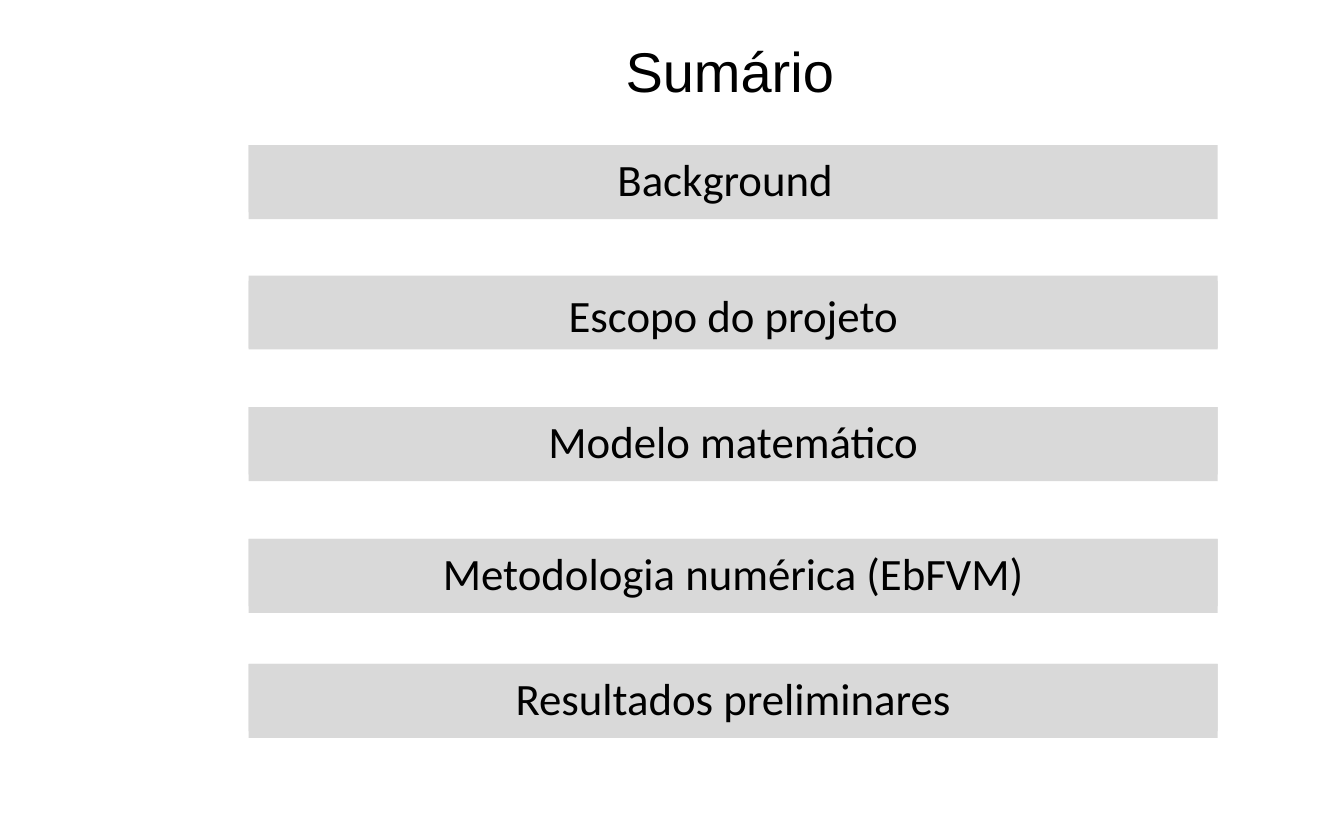
from dataclasses import dataclass

from pptx import Presentation
from pptx.dml.color import RGBColor
from pptx.enum.shapes import MSO_SHAPE as Shape
from pptx.enum.text import MSO_ANCHOR as Anchor, PP_ALIGN as Align
from pptx.util import Inches, Pt

COLORS = {"text": "000000", "bar": "D9D9D9"}
BAR_LEFT, BAR_WIDTH, BAR_HEIGHT = 1.85, 7.21, 0.55
LABEL_HEIGHT = 0.5


@dataclass
class Topic:
    text: str
    top: float
    label_offset: float = 0
    label_width: float = BAR_WIDTH


TOPICS = [
    Topic("Background", 1.08, label_width=7.09),
    Topic("Escopo do projeto", 2.05, label_offset=0.04),
    Topic("Modelo matemático", 3.03),
    Topic("Metodologia numérica (EbFVM)", 4.01),
    Topic("Resultados preliminares", 4.94),
]


def fill_bar(shape) -> None:
    shape.fill.solid()
    shape.fill.fore_color.rgb = RGBColor.from_string(COLORS["bar"])


def write_text(shape, text: str, font_name: str, size: float, anchor: Anchor) -> None:
    text_frame = shape.text_frame
    text_frame.text = text
    text_frame.word_wrap = True
    text_frame.vertical_anchor = anchor
    paragraph = text_frame.paragraphs[0]
    paragraph.alignment = Align.CENTER
    font = paragraph.runs[0].font
    font.name = font_name
    font.size = Pt(size)
    font.color.rgb = RGBColor.from_string(COLORS["text"])


def add_topic(slide, topic: Topic) -> None:
    group = slide.shapes.add_group_shape()
    # Grey bar
    bar = group.shapes.add_shape(Shape.RECTANGLE, Inches(BAR_LEFT), Inches(topic.top),
                                 Inches(BAR_WIDTH), Inches(BAR_HEIGHT))
    bar.shadow.inherit = False
    bar.line.fill.background()
    fill_bar(bar)
    # Topic label
    label = group.shapes.add_textbox(Inches(BAR_LEFT), Inches(topic.top + topic.label_offset),
                                     Inches(topic.label_width), Inches(LABEL_HEIGHT))
    fill_bar(label)
    write_text(label, topic.text, "Calibri", 24, Anchor.TOP)


def main() -> None:
    presentation = Presentation()
    presentation.slide_width = Inches(10)
    presentation.slide_height = Inches(6.25)
    slide = presentation.slides.add_slide(presentation.slide_layouts[6])

    # Title
    title = slide.shapes.add_textbox(Inches(1.14), Inches(0.37), Inches(8.58), Inches(0.31))
    write_text(title, "Sumário", "Arial", 30, Anchor.MIDDLE)

    # Topics
    for topic in TOPICS:
        add_topic(slide, topic)

    presentation.save("out.pptx")


if __name__ == "__main__":
    main()
